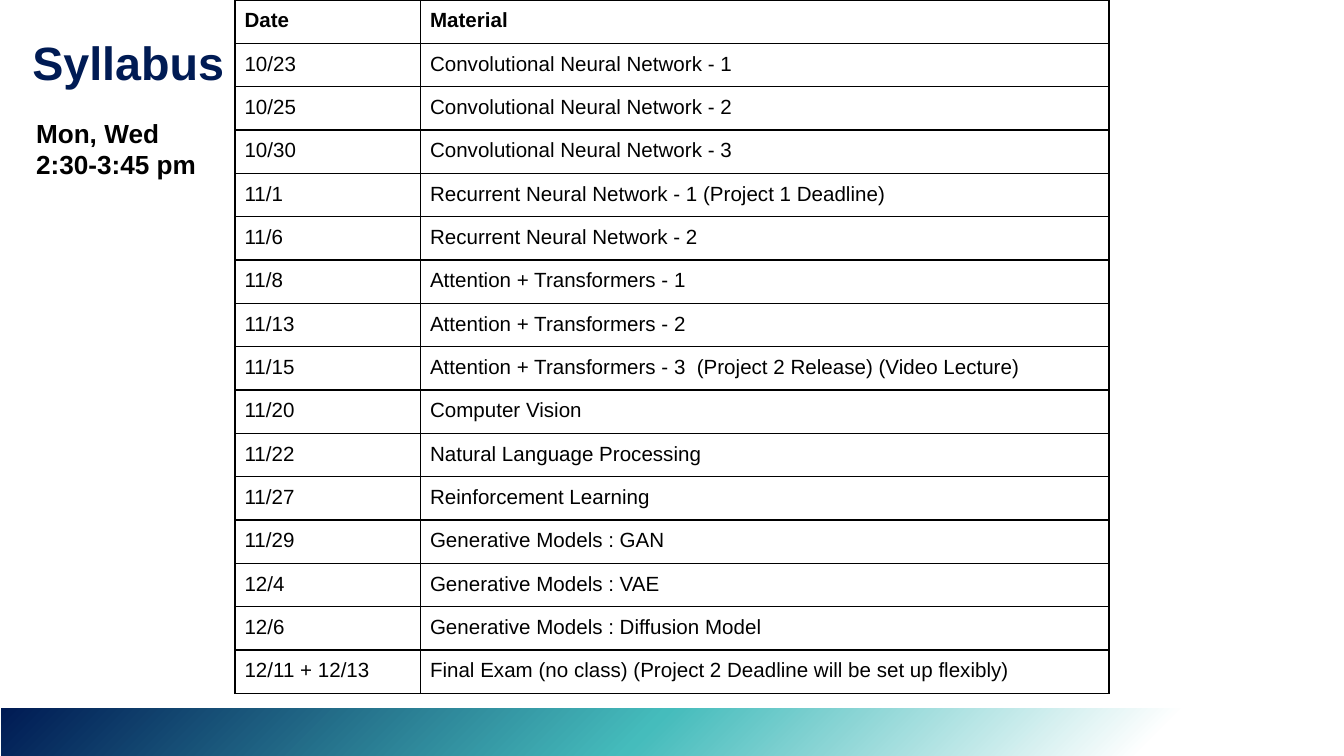
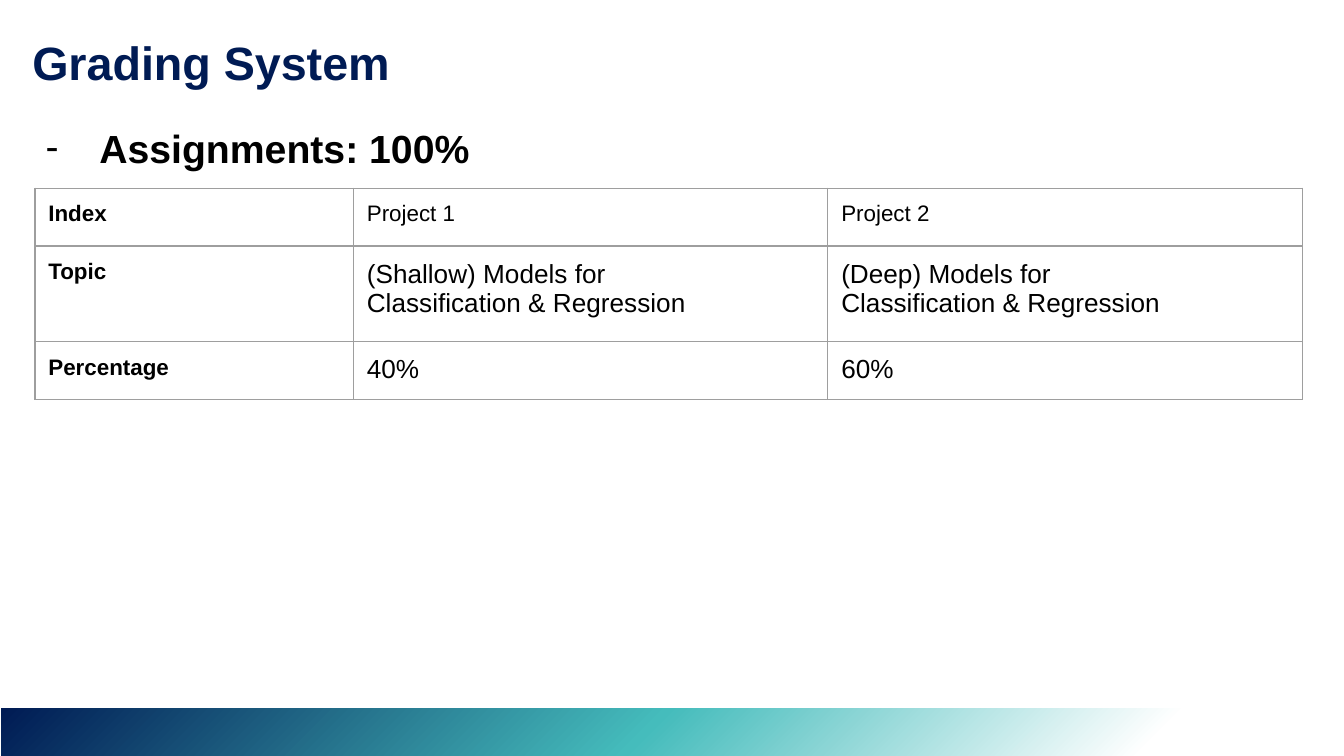
from lxml import etree
from pptx import Presentation
from pptx.dml.color import RGBColor
from pptx.enum.shapes import MSO_SHAPE
from pptx.enum.text import MSO_ANCHOR, MSO_AUTO_SIZE, PP_ALIGN
from pptx.oxml import parse_xml
from pptx.oxml.ns import nsdecls, qn
from pptx.util import Inches, Pt

RECTANGLE = MSO_SHAPE.RECTANGLE
TOP = MSO_ANCHOR.TOP
FIXED_SIZE = MSO_AUTO_SIZE.NONE
LEFT = PP_ALIGN.LEFT

SLIDE_WIDTH = 10
SLIDE_HEIGHT = SLIDE_WIDTH * 9 / 16
TITLE_ONLY = 5
FONT = "Arial"
NAVY, BLACK, GREY = "001B54", "000000", "9E9E9E"
BAND_STOPS = [(0, NAVY), (48, "45BCBC"), (85, "FFFFFF"), (100, "FFFFFF")]
BAND_BOX = (0.01, 5.27, 10, 0.37)
TITLE_BOX = (0.14, 0.15, 9.72, 0.63)

MEETING_TIMES = "Mon, Wed\n2:30-3:45 pm"
SYLLABUS = [
    ("Date", "Material"),
    ("10/23", "Convolutional Neural Network - 1"),
    ("10/25", "Convolutional Neural Network - 2"),
    ("10/30", "Convolutional Neural Network - 3"),
    ("11/1", "Recurrent Neural Network - 1 (Project 1 Deadline)"),
    ("11/6", "Recurrent Neural Network - 2"),
    ("11/8", "Attention + Transformers - 1"),
    ("11/13", "Attention + Transformers - 2"),
    ("11/15", "Attention + Transformers - 3  (Project 2 Release) (Video Lecture)"),
    ("11/20", "Computer Vision"),
    ("11/22", "Natural Language Processing"),
    ("11/27", "Reinforcement Learning"),
    ("11/29", "Generative Models : GAN"),
    ("12/4", "Generative Models : VAE"),
    ("12/6", "Generative Models : Diffusion Model"),
    ("12/11 + 12/13", "Final Exam (no class) (Project 2 Deadline will be set up flexibly)"),
]
SYLLABUS_HEIGHT = 5.16
ASSIGNMENTS = "Assignments: 100%"
GRADING = [
    ("Index", "Project 1", "Project 2"),
    ("Topic", "(Shallow) Models for\nClassification & Regression",
     "(Deep) Models for\nClassification & Regression"),
    ("Percentage", "40%", "60%"),
]


def color(hex_string):
    return RGBColor.from_string(hex_string)


def inches(values):
    return [Inches(value) for value in values]


def set_attributes(target, values):
    for name, value in values.items():
        setattr(target, name, value)


def equal_margins(margin):
    return {f"margin_{side}": Inches(margin) for side in ("left", "top", "right", "bottom")}


def write(text_frame, text, size, bold=False, font_color=BLACK):
    text_frame.text = text
    for paragraph in text_frame.paragraphs:
        paragraph.alignment = LEFT
        for run in paragraph.runs:
            set_attributes(run.font, {"name": FONT, "size": Pt(size), "bold": bold})
            run.font.color.rgb = color(font_color)


def format_frame(text_frame):
    set_attributes(text_frame, {"word_wrap": True, "auto_size": FIXED_SIZE,
                                "vertical_anchor": TOP, **equal_margins(0.1)})


def add_text(slide, box, text, size, bold):
    text_frame = slide.shapes.add_textbox(*inches(box)).text_frame
    format_frame(text_frame)
    write(text_frame, text, size, bold)
    return text_frame.paragraphs[0]


def add_bullet(paragraph, character, margin, indent):
    properties = paragraph._p.get_or_add_pPr()
    properties.set("marL", str(Inches(margin)))
    properties.set("indent", str(Inches(indent)))
    bullet_color = etree.SubElement(properties, qn("a:buClr"))
    etree.SubElement(bullet_color, qn("a:srgbClr"), val=BLACK)
    etree.SubElement(properties, qn("a:buFont"), typeface=FONT)
    etree.SubElement(properties, qn("a:buChar"), char=character)


def add_border(cell, line_color, width):
    properties = cell._tc.get_or_add_tcPr()
    for side in ("lnL", "lnR", "lnT", "lnB"):
        properties.append(parse_xml(
            f'<a:{side} {nsdecls("a")} w="{Pt(width)}"><a:solidFill>'
            f'<a:srgbClr val="{line_color}"/></a:solidFill></a:{side}>'))


def add_table(slide, corner, rows, widths, heights, margin, border, text_style):
    """Draw rows as a table; text_style maps (row, column) to size and bold."""
    box = (*corner, sum(widths), sum(heights))
    table = slide.shapes.add_table(len(rows), len(widths), *inches(box)).table
    set_attributes(table, {"first_row": False, "horz_banding": False})
    for column, width in zip(table.columns, widths):
        column.width = Inches(width)
    for row_index, (row, height) in enumerate(zip(rows, heights)):
        table.rows[row_index].height = Inches(height)
        for column_index, text in enumerate(row):
            cell = table.cell(row_index, column_index)
            set_attributes(cell, equal_margins(margin))
            add_border(cell, *border)
            cell.fill.background()
            write(cell.text_frame, text, *text_style(row_index, column_index))


def add_band(slide):
    """Draw the gradient band and move it to the layout, behind its placeholders."""
    band = slide.shapes.add_shape(RECTANGLE, *inches(BAND_BOX))
    band.shadow.inherit = False
    band.line.fill.background()
    properties = band.element.spPr
    properties.find(qn("a:xfrm")).set("flipH", "1")
    stops = "".join(f'<a:gs pos="{position * 1000}"><a:srgbClr val="{stop}"/></a:gs>'
                    for position, stop in BAND_STOPS)
    properties.find(qn("a:prstGeom")).addnext(parse_xml(
        f'<a:gradFill {nsdecls("a")}><a:gsLst>{stops}</a:gsLst><a:path path="circle">'
        '<a:fillToRect r="100000" b="100000"/></a:path></a:gradFill>'))
    slide.slide_layout.shapes.element.insert(2, band.element)


def add_slide(presentation, title_text):
    slide = presentation.slides.add_slide(presentation.slide_layouts[TITLE_ONLY])
    title = slide.shapes.title
    set_attributes(title, dict(zip(("left", "top", "width", "height"), inches(TITLE_BOX))))
    format_frame(title.text_frame)
    write(title.text_frame, title_text, 25, True, NAVY)
    return slide


def build_syllabus(presentation):
    slide = add_slide(presentation, "Syllabus")
    add_text(slide, (0.17, 0.77, 1.4, 0.67), MEETING_TIMES, 14, True)
    heights = [SYLLABUS_HEIGHT / len(SYLLABUS)] * len(SYLLABUS)
    add_table(slide, (1.75, 0), SYLLABUS, (1.38, 5.12), heights, 0.07, (BLACK, 1),
              lambda row, column: (11, row == 0))
    return slide


def build_grading(presentation):
    slide = add_slide(presentation, "Grading System")
    paragraph = add_text(slide, (0.14, 0.77, 9.72, 4.42), ASSIGNMENTS, 21, True)
    paragraph.line_spacing = 1.15
    add_bullet(paragraph, "-", 0.5, -0.4)
    add_table(slide, (0.26, 1.4), GRADING, (2.37, 3.53, 3.53), (0.43, 0.71, 0.43), 0.1,
              (GREY, 0.75),
              lambda row, column: (14 if row and column else 12, column == 0))


def main():
    presentation = Presentation()
    set_attributes(presentation, {"slide_width": Inches(SLIDE_WIDTH),
                                  "slide_height": Inches(SLIDE_HEIGHT)})
    add_band(build_syllabus(presentation))
    build_grading(presentation)
    presentation.save("out.pptx")


if __name__ == "__main__":
    main()
